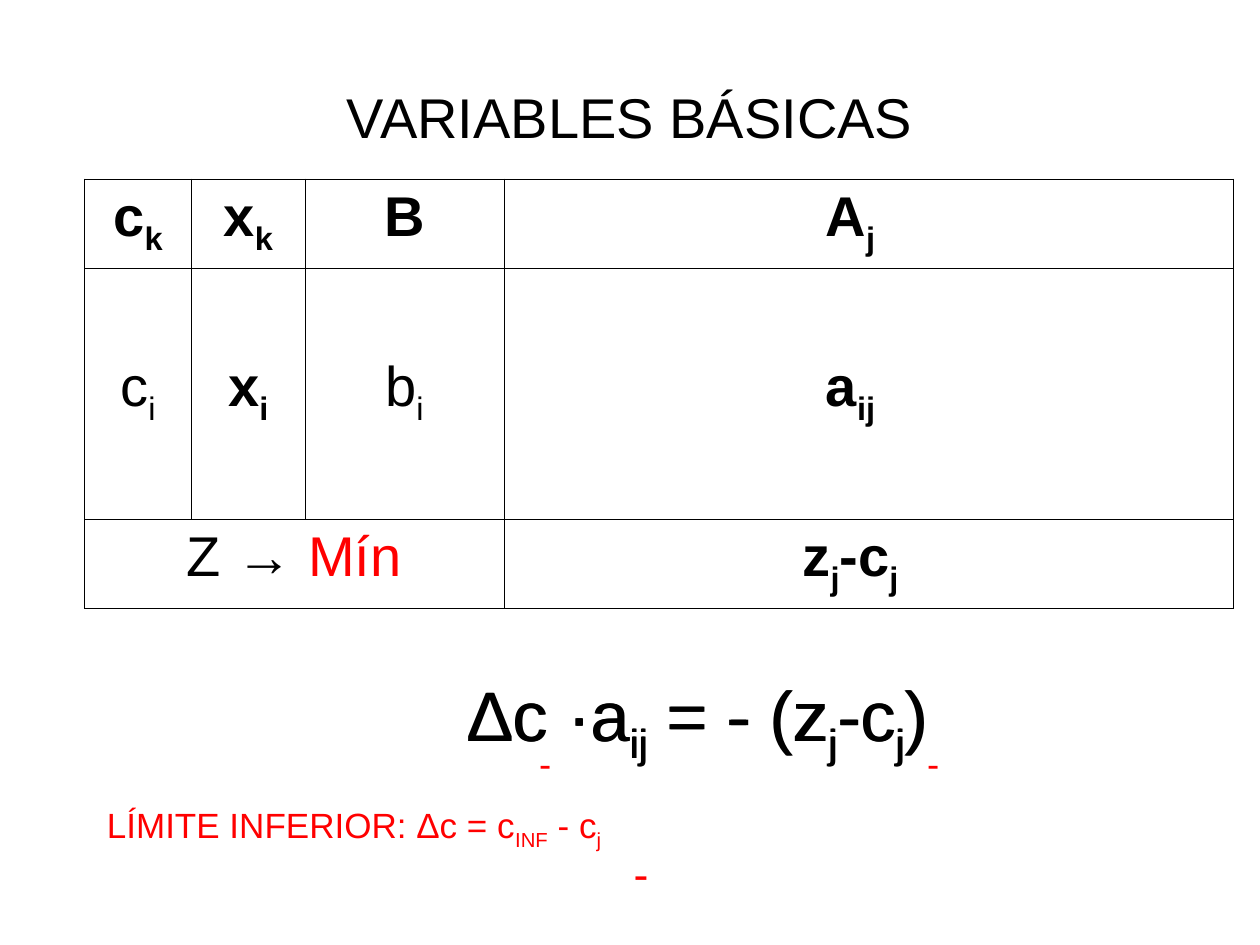
from typing import NamedTuple

from lxml import etree
from pptx import Presentation
from pptx import util as u
from pptx.dml.color import RGBColor
from pptx.enum import text
from pptx.oxml import ns

BLACK, RED = "000000", "FF0000"
FONT = "Arial"
CENTER, LEFT = text.PP_ALIGN.CENTER, text.PP_ALIGN.LEFT


class Run(NamedTuple):
    text: str
    sub: bool = False
    color: str = BLACK


class Label(NamedTuple):
    left: float
    top: float
    width: float
    height: float
    runs: list[Run]
    size: float
    align: text.PP_ALIGN = LEFT
    anchor: text.MSO_ANCHOR = text.MSO_ANCHOR.TOP
    wrap: bool = False


class Entry(NamedTuple):
    row: int
    col: int
    runs: list[Run]
    bold: bool = True


def rgb(value: str) -> RGBColor:
    return RGBColor.from_string(value)


def math_runs(markup: str, color: str = BLACK) -> list[Run]:
    """Split at bars; every second piece is a subscript."""
    return [Run(piece, i % 2 == 1, color)
            for i, piece in enumerate(markup.split("|")) if piece]


def write(tf, runs: list[Run], size: float, align: text.PP_ALIGN, bold: bool = False) -> None:
    p = tf.paragraphs[0]
    p.alignment = align
    for run in runs:
        r = p.add_run()
        r.text = run.text
        r.font.name, r.font.size, r.font.bold = FONT, u.Pt(size), bold
        r.font.color.rgb = rgb(run.color)
        if run.sub:
            r._r.get_or_add_rPr().set("baseline", "-25000")


def add_label(s, label: Label) -> None:
    sp = s.shapes.add_textbox(u.Inches(label.left), u.Inches(label.top),
                              u.Inches(label.width), u.Inches(label.height))
    tf = sp.text_frame
    tf.word_wrap = label.wrap
    tf.vertical_anchor = label.anchor
    write(tf, label.runs, label.size, label.align)


def set_border(cell, side: str, visible: bool) -> None:
    tc_pr = cell._tc.get_or_add_tcPr()
    ln = etree.SubElement(tc_pr, ns.qn(f"a:ln{side}"), w=str(u.Pt(0.45)))
    if visible:
        fill = etree.SubElement(ln, ns.qn("a:solidFill"))
        etree.SubElement(fill, ns.qn("a:srgbClr"), val=BLACK)
    else:
        etree.SubElement(ln, ns.qn("a:noFill"))


def add_simplex_table(s) -> None:
    widths = [0.85, 0.9, 1.58, 1.16, 1.06, 1.06, 1.22, 1.29]
    heights = [0.71, 0.64, 0.71, 0.64, 0.71]
    rows, cols = len(heights), len(widths)
    last = rows - 1
    row_edges, col_edges, total_edges = {0, 1, last, rows}, {0, 1, 2, 3, cols}, {0, 3, cols}

    table = s.shapes.add_table(rows, cols, u.Inches(0.67), u.Inches(1.42),
                               u.Inches(sum(widths)), u.Inches(sum(heights))).table
    table.first_row = table.horz_banding = False
    for column, width in zip(table.columns, widths):
        column.width = u.Inches(width)
    for row, height in zip(table.rows, heights):
        row.height = u.Inches(height)
    table.cell(last, 0).merge(table.cell(last, 2))

    for i in range(rows):
        verticals = total_edges if i == last else col_edges
        for j in range(cols):
            cell = table.cell(i, j)
            right = 3 if cell.is_merge_origin else j + 1
            set_border(cell, "L", j in verticals)
            set_border(cell, "R", right in verticals)
            set_border(cell, "T", i in row_edges)
            set_border(cell, "B", i + 1 in row_edges)
            cell.fill.background()

    entries = [
        Entry(0, 0, math_runs("c|k")),
        Entry(0, 1, math_runs("x|k")),
        Entry(0, 2, math_runs("B")),
        Entry(0, 5, math_runs("A|j")),
        Entry(2, 0, math_runs("c|i"), bold=False),
        Entry(2, 1, math_runs("x|i")),
        Entry(2, 2, math_runs("b|i"), bold=False),
        Entry(2, 5, math_runs("a|ij")),
        Entry(last, 0, [Run("Z → "), Run("Mín", color=RED)], bold=False),
        Entry(last, 5, math_runs("z|j|-c|j")),
    ]
    for entry in entries:
        write(table.cell(entry.row, entry.col).text_frame, entry.runs, 32, CENTER, entry.bold)


def main() -> None:
    prs = Presentation()
    prs.slide_width, prs.slide_height = u.Inches(10), u.Inches(7.5)
    s = prs.slides.add_slide(prs.slide_layouts[6])

    add_simplex_table(s)
    formula = math_runs("Δc ·a|ij| = - (z|j|-c|j|)")
    limit = math_runs("LÍMITE INFERIOR: Δc = c|INF| - c|j", RED)
    minus = [Run("-", True, RED)]
    labels = [
        Label(0.5, 0.3, 9, 1.25, [Run("VARIABLES BÁSICAS")], 32, CENTER,
              text.MSO_ANCHOR.MIDDLE, wrap=True),
        Label(3.61, 5.28, 4.07, 0.86, formula, 40),
        Label(3.6, 5.28, 3.98, 0.86, formula, 40),
        Label(0.75, 6.33, 4.42, 0.48, limit, 20, wrap=True),
        Label(4.18, 5.5, 0.29, 0.79, minus, 36),
        Label(4.93, 5.42, 0.41, 0.94, [Run(" -", True, RED)], 44),
        Label(7.26, 5.5, 0.29, 0.79, minus, 36),
    ]
    for label in labels:
        add_label(s, label)
    prs.save("out.pptx")


if __name__ == "__main__":
    main()
